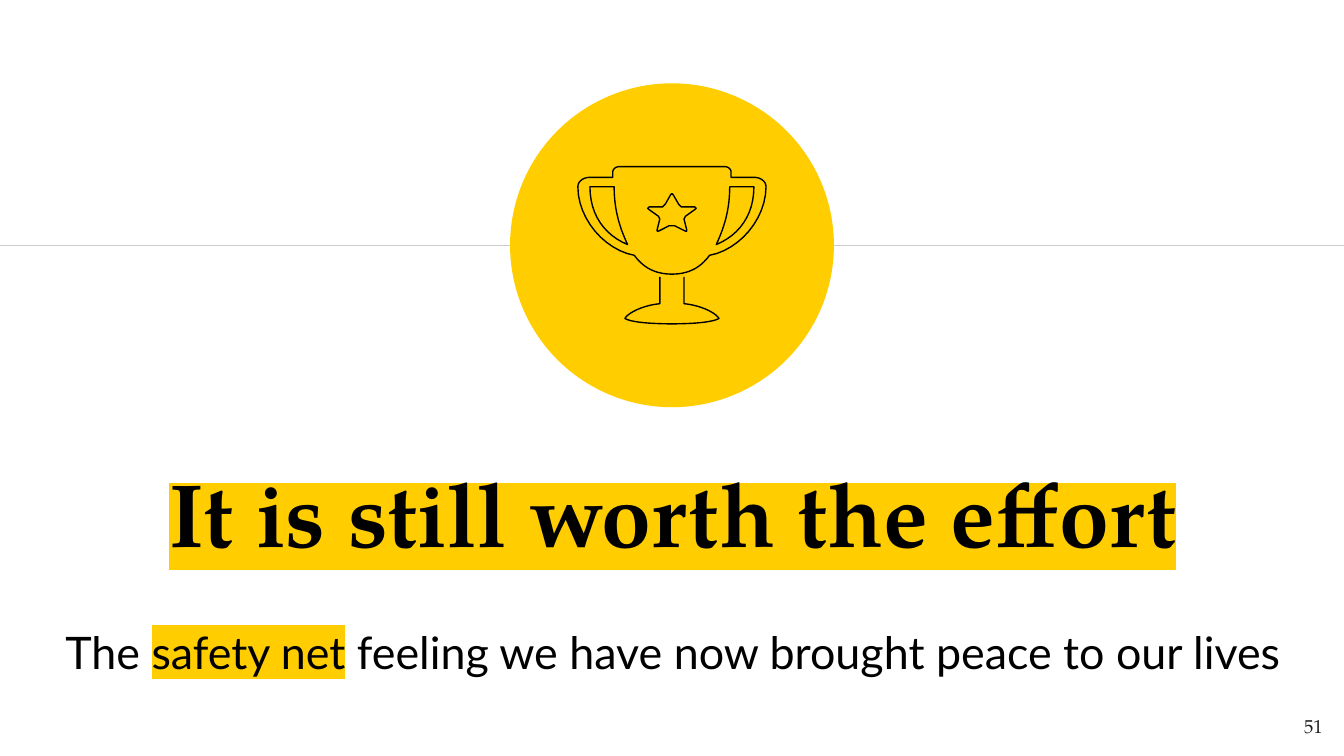
from lxml import etree
from pptx import Presentation
from pptx.dml.color import RGBColor
from pptx.enum import shapes, text
from pptx.oxml import ns
from pptx.util import Inches, Pt

HUES = {"ink": "000000", "gold": "FFCD00", "rule": "CCCCCC", "page": "1D1D1B"}
SERIF, SANS = "TeX Gyre Pagella", "Lato"
ALIGN, ANCHOR = text.PP_ALIGN, text.MSO_ANCHOR
WIDE = 10
TALL = WIDE * 9 / 16

# Text boxes: place, font, size, bold, colour, align, anchor, runs (words, marked)
TEXTS = [
    ((0.86, 3.17, 8.29, 1.27), SERIF, 48, True, "ink", ALIGN.CENTER, ANCHOR.MIDDLE,
     [("It is still worth the effort", True)]),
    ((0, 4.55, 10.01, 0.86), SANS, 24, False, "ink", ALIGN.CENTER, ANCHOR.TOP,
     [("The ", False), ("safety net", True),
      (" feeling we have now brought peace to our lives", False)]),
    ((9.34, 5.19, 0.6, 0.43), SERIF, 10, False, "page", ALIGN.RIGHT, ANCHOR.MIDDLE,
     [("51", False)]),
]

# Disc, centred across the slide
DISC, TOP = 2.41, 0.62

# Trophy: left halves, as (distance from the axis, height) in 0.01 inch.
# A pair is a corner; six numbers are a curve: two handles and its end.
AXIS = 500
FINE = 100
STEPS = 12
FOOT = [(9, 206), (9, 226), (20, 227, 32, 232, 35, 237), (30, 240, 14, 241, 0, 241)]
BOWL = [(0, 124), (39, 124), (42, 124, 44, 126, 44, 128), (44, 132), (61, 132),
        (66, 132, 70, 135, 70, 139), (70, 163, 50, 186, 28, 190),
        (20, 201, 10, 204, 0, 204)]
GRIP = [(61, 139), (61, 160, 50, 175, 33, 182), (40, 167, 43, 154, 43, 139)]
STAR = [(0, 144), (1, 145), (5, 152), (7, 154), (17, 154), (18, 155), (17, 156),
        (10, 161), (9, 163), (11, 171), (11, 172), (10, 172), (2, 168), (0, 168)]


def tint(hue):
    return RGBColor.from_string(HUES[hue])


def trace(half):
    """Turn corners and curves into a list of points."""
    dots = []
    for step in half:
        if len(step) == 2:
            dots.append(step)
            continue
        knots = [dots[-1], step[:2], step[2:4], step[4:]]
        for i in range(1, STEPS + 1):
            t = i / STEPS
            parts = ((1 - t) ** 3, 3 * t * (1 - t) ** 2, 3 * t * t * (1 - t), t ** 3)
            dots.append(tuple(sum(w * k[n] for w, k in zip(parts, knots))
                              for n in (0, 1)))
    return dots


def side(half, sign):
    return [((AXIS + sign * x) * FINE, y * FINE) for x, y in trace(half)]


def whole(half):
    return side(half, -1) + side(half, 1)[::-1]


def mark(run):
    """Highlight a run that already has its colour."""
    light = etree.Element(ns.qn("a:highlight"))
    etree.SubElement(light, ns.qn("a:srgbClr"), val=HUES["gold"])
    run.font._element.find(ns.qn("a:solidFill")).addnext(light)


def add_text(slide, place, face, size, bold, hue, align, anchor, runs):
    frame = slide.shapes.add_textbox(*map(Inches, place)).text_frame
    frame.word_wrap = True
    frame.vertical_anchor = anchor
    frame.margin_left = frame.margin_right = Inches(0.1)
    frame.margin_top = frame.margin_bottom = Inches(0.1)
    para = frame.paragraphs[0]
    para.alignment = align
    for words, marked in runs:
        run = para.add_run()
        run.text = words
        run.font.name, run.font.size, run.font.bold = face, Pt(size), bold
        run.font.color.rgb = tint(hue)
        if marked:
            mark(run)


def add_outline(slide, paths, close):
    pen = slide.shapes.build_freeform(*paths[0][0], scale=Inches(0.01) / FINE)
    for i, path in enumerate(paths):
        if i:
            pen.move_to(*path[0])
        pen.add_line_segments(path[1:], close=close)
    shape = pen.convert_to_shape()
    shape.shadow.inherit = False
    shape.fill.background()
    shape.line.color.rgb = tint("ink")
    shape.line.width = Pt(0.75)


deck = Presentation()
deck.slide_width, deck.slide_height = Inches(WIDE), Inches(TALL)
slide = deck.slides.add_slide(deck.slide_layouts[6])

# Title, subtitle and page number
for item in TEXTS:
    add_text(slide, *item)

# Rule across the slide, behind the disc and level with its centre
level = TOP + DISC / 2
rule = slide.shapes.add_connector(
    shapes.MSO_CONNECTOR.STRAIGHT, *map(Inches, (-0.01, level, WIDE + 0.01, level)))
rule.line.color.rgb = tint("rule")
rule.line.width = Pt(0.75)
etree.SubElement(rule._element.spPr, ns.qn("a:effectLst"))

# Disc
disc = slide.shapes.add_shape(
    shapes.MSO_SHAPE.OVAL, *map(Inches, ((WIDE - DISC) / 2, TOP, DISC, DISC)))
disc.shadow.inherit = False
disc.fill.solid()
disc.fill.fore_color.rgb = tint("gold")
disc.line.fill.background()

# Trophy
add_outline(slide, [whole(FOOT)], close=False)
add_outline(slide, [whole(BOWL), side(GRIP, -1), whole(STAR), side(GRIP, 1)], close=True)

deck.save("out.pptx")
